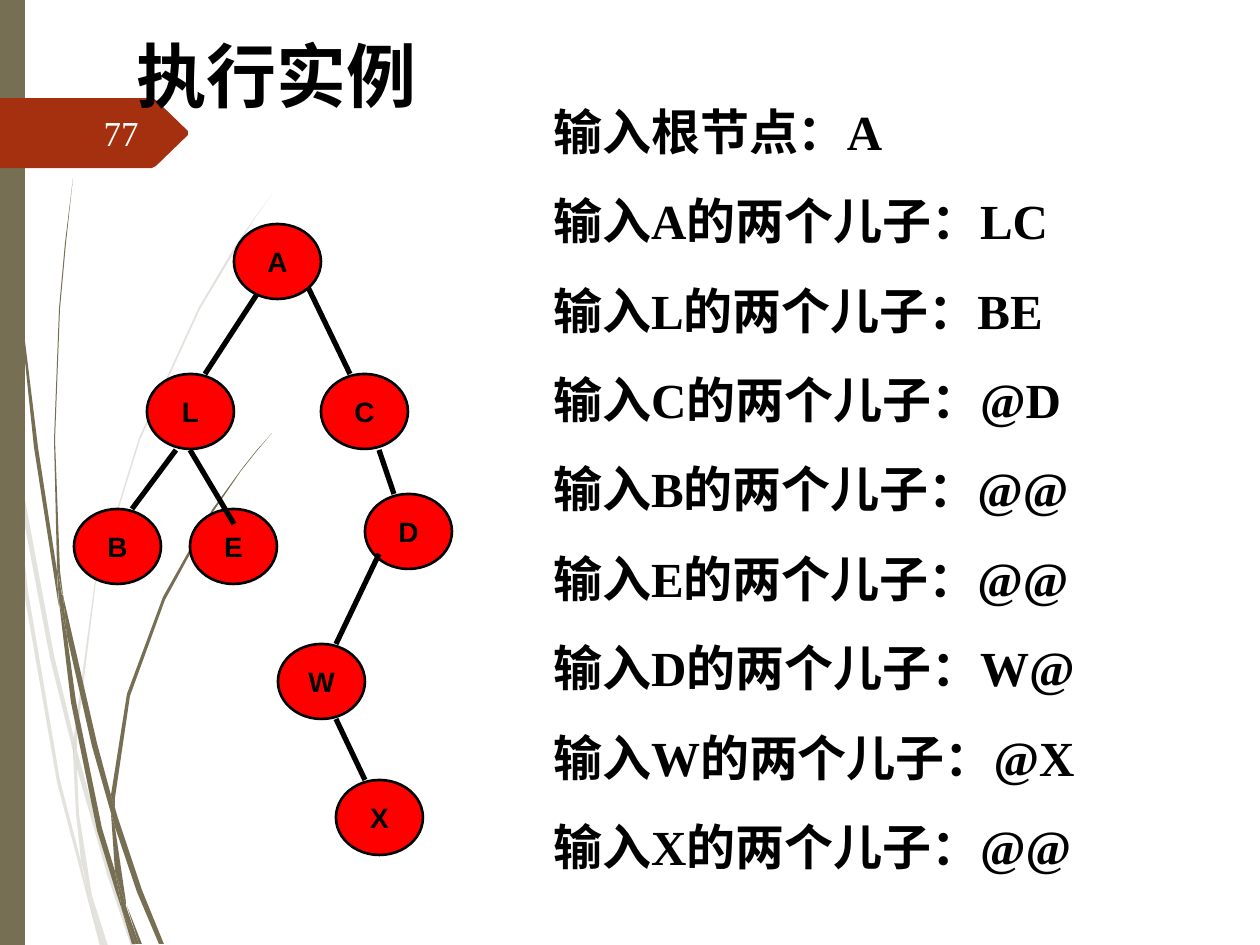
from collections import namedtuple

from lxml import etree
from pptx import Presentation, util as u
from pptx.dml.color import RGBColor
from pptx.enum import shapes, text
from pptx.oxml import ns

PX = 914400 / 126
OLIVE = RGBColor(0x76, 0x6F, 0x54)
RUST = RGBColor(0xA5, 0x30, 0x10)
RED = RGBColor(0xFF, 0, 0)
BLACK = RGBColor(0, 0, 0)
WHITE = RGBColor(0xFE, 0xFF, 0xFF)
SERIF = "Times New Roman"
SANS = "Arial"
Box = namedtuple("Box", "left top width height")

PALE_BLADES = [
    [(10, 441), (8, 406), (0, 355), (0, 377), (9, 433)],
    [(50, 658), (74, 755), (74, 738), (54, 655), (13, 435), (15, 474)],
    [(81, 765), (77, 751), (77, 769), (107, 874), (131, 946), (136, 946), (111, 872)],
    [(105, 946), (108, 946), (92, 896)],
    [(81, 861), (60, 780), (28, 591), (15, 474), (10, 441), (24, 592), (57, 782),
     (81, 873), (88, 900), (87, 891)],
    [(73, 755), (76, 814), (81, 861), (84, 872), (92, 896), (91, 890), (79, 814),
     (77, 769), (77, 766)],
    [(77, 736), (96, 582), (140, 440), (200, 309), (236, 249), (253, 221), (273, 193),
     (253, 220), (234, 248), (199, 307), (139, 438), (95, 581), (74, 736), (74, 738),
     (77, 751)],
    [(88, 900), (100, 946), (103, 946)],
    [(77, 766), (77, 769), (77, 751), (74, 738), (73, 755)],
    [(84, 872), (82, 861), (87, 891), (88, 900), (103, 946), (105, 946), (92, 896)],
]
DARK_BLADES = [
    [(6, 139), (18, 294), (34, 447), (58, 601), (59, 606), (57, 576), (57, 571),
     (38, 447), (19, 292), (8, 137), (5, 60), (4, 0), (3, 0), (4, 60)],
    [(92, 746), (111, 813), (111, 798), (111, 795), (97, 743), (63, 595), (67, 636)],
    [(118, 818), (115, 808), (115, 827), (137, 892), (159, 944), (164, 944), (142, 890)],
    [(115, 871), (102, 828), (76, 701), (67, 636), (59, 601), (71, 702), (97, 830),
     (116, 892), (122, 910), (121, 903)],
    [(63, 595), (60, 571), (55, 440), (60, 309), (66, 243), (73, 178), (65, 243),
     (59, 309), (54, 440), (57, 566), (62, 593)],
    [(139, 944), (142, 944), (127, 906)],
    [(59, 601), (67, 636), (63, 595), (62, 595), (57, 566), (57, 571)],
    [(115, 798), (130, 696), (165, 600), (213, 512), (241, 471), (256, 452), (272, 433),
     (256, 451), (241, 470), (212, 510), (163, 597), (127, 694), (111, 795), (115, 808)],
    [(122, 910), (132, 944), (136, 944)],
    [(111, 813), (115, 871), (121, 890), (126, 906), (126, 902), (115, 827), (113, 820)],
    [(111, 813), (113, 820), (115, 827), (115, 808), (111, 795), (111, 798)],
    [(121, 890), (115, 871), (121, 903), (122, 910), (136, 944), (139, 944), (126, 906)],
]
NODE_SIZE = (87, 75)
ROOT = {"A": (160, 0)}
DESCENDANTS = {"B": (0, 285), "C": (247, 150), "D": (291, 270), "E": (116, 285),
               "L": (73, 150), "X": (262, 556), "W": (204, 420)}
EDGES = [(189, 61, 131, 150), (233, 61, 276, 150), (305, 226, 320, 270),
         (116, 226, 160, 300), (102, 226, 58, 285), (262, 495, 291, 556),
         (305, 330, 262, 420)]
CHILDREN = {"A": "LC", "L": "BE", "C": "@D", "B": "@@", "E": "@@",
            "D": "W@", "W": "@X", "X": "@@"}


def emu(*lengths):
    return [u.Emu(round(length * PX)) for length in lengths]


def paint(shape, color, opacity=100):
    shape.shadow.inherit = False
    shape.fill.solid()
    shape.fill.fore_color.rgb = color
    shape.line.fill.background()
    if opacity < 100:
        tint = shape.fill._xPr.find(".//" + ns.qn("a:srgbClr"))
        etree.SubElement(tint, ns.qn("a:alpha")).set("val", str(opacity * 1000))


def add_outline(slide, box, points, color, opacity=100):
    corners = [emu(box.left + x, box.top + y) for x, y in points]
    builder = slide.shapes.build_freeform(*corners[0])
    builder.add_line_segments(corners[1:], close=True)
    paint(builder.convert_to_shape(), color, opacity)


def style(paragraph, size, color, face, bold=True):
    font = paragraph.font
    font.size, font.bold, font.name = u.Pt(size), bold, face
    font.color.rgb = color


def add_backdrop(slide, box):
    for blades, opacity in ((PALE_BLADES, 20), (DARK_BLADES, 100)):
        for blade in blades:
            add_outline(slide, box, blade, OLIVE, opacity)
    bar = slide.shapes.add_shape(shapes.MSO_SHAPE.RECTANGLE,
                                 *emu(box.left, box.top, 25, box.height))
    paint(bar, OLIVE)


def add_page_tag(slide, box, number):
    w, h = box.width, box.height
    add_outline(slide, box, [(0, 0), (w - 36, 0), (w - 32, 2), (w, h // 2 - 2),
                             (w, h // 2 + 2), (w - 32, h - 2), (w - 36, h), (0, h)], RUST)
    label = slide.shapes.add_textbox(*emu(box.left + 71, box.top + 10, 80, 50))
    label.text_frame.word_wrap = True
    label.text_frame.vertical_anchor = text.MSO_ANCHOR.MIDDLE
    paragraph = label.text_frame.paragraphs[0]
    paragraph.text = number
    paragraph.alignment = text.PP_ALIGN.RIGHT
    style(paragraph, 20, WHITE, SERIF, bold=False)


def add_nodes(slide, box, nodes):
    for letter, (x, y) in nodes.items():
        node = slide.shapes.add_shape(shapes.MSO_SHAPE.OVAL,
                                      *emu(box.left + x, box.top + y, *NODE_SIZE))
        paint(node, RED)
        node.line.color.rgb = BLACK
        node.line.width = u.Pt(1.5)
        frame = node.text_frame
        frame.word_wrap = False
        frame.vertical_anchor = text.MSO_ANCHOR.MIDDLE
        paragraph = frame.paragraphs[0]
        paragraph.text = letter
        paragraph.alignment = text.PP_ALIGN.CENTER
        style(paragraph, 16, BLACK, SANS)


def add_tree(slide, box):
    add_nodes(slide, box, DESCENDANTS)
    for x1, y1, x2, y2 in EDGES:
        edge = slide.shapes.add_connector(
            shapes.MSO_CONNECTOR.STRAIGHT,
            *emu(box.left + x1, box.top + y1, box.left + x2, box.top + y2))
        edge.line.color.rgb = BLACK
        edge.line.width = u.Pt(3)
        etree.SubElement(edge._element.spPr, ns.qn("a:effectLst"))
    add_nodes(slide, box, ROOT)


def place_title(slide, box, heading):
    title = slide.shapes.title
    title.left, title.top, title.width, title.height = emu(*box)
    frame = title.text_frame
    frame.text = heading
    frame.word_wrap = True
    frame.auto_size = text.MSO_AUTO_SIZE.NONE
    frame.vertical_anchor = text.MSO_ANCHOR.TOP
    frame.paragraphs[0].alignment = text.PP_ALIGN.LEFT
    style(frame.paragraphs[0], 40, BLACK, SERIF)
    slide.shapes._spTree.append(title._element)


def add_inputs(slide, box):
    frame = slide.shapes.add_textbox(*emu(*box)).text_frame
    frame.word_wrap = True
    prompts = ["输入根节点：A"]
    prompts += [f"输入{parent}的两个儿子：{pair}" for parent, pair in CHILDREN.items()]
    for index, prompt in enumerate(prompts):
        paragraph = frame.add_paragraph() if index else frame.paragraphs[0]
        paragraph.text = prompt
        if index:
            paragraph.space_before = u.Pt(17.5)
        style(paragraph, 28, BLACK, SERIF)


def main():
    deck = Presentation()
    deck.slide_width, deck.slide_height = emu(1260, 945)
    slide = deck.slides.add_slide(deck.slide_layouts[5])
    add_backdrop(slide, Box(0, 0, 1260, 945))
    add_page_tag(slide, Box(0, 98, 188, 70), "77")
    add_tree(slide, Box(74, 224, 378, 631))
    place_title(slide, Box(124, 26, 615, 97), "执行实例")
    add_inputs(slide, Box(541, 95, 645, 788))
    deck.save("out.pptx")


if __name__ == "__main__":
    main()
